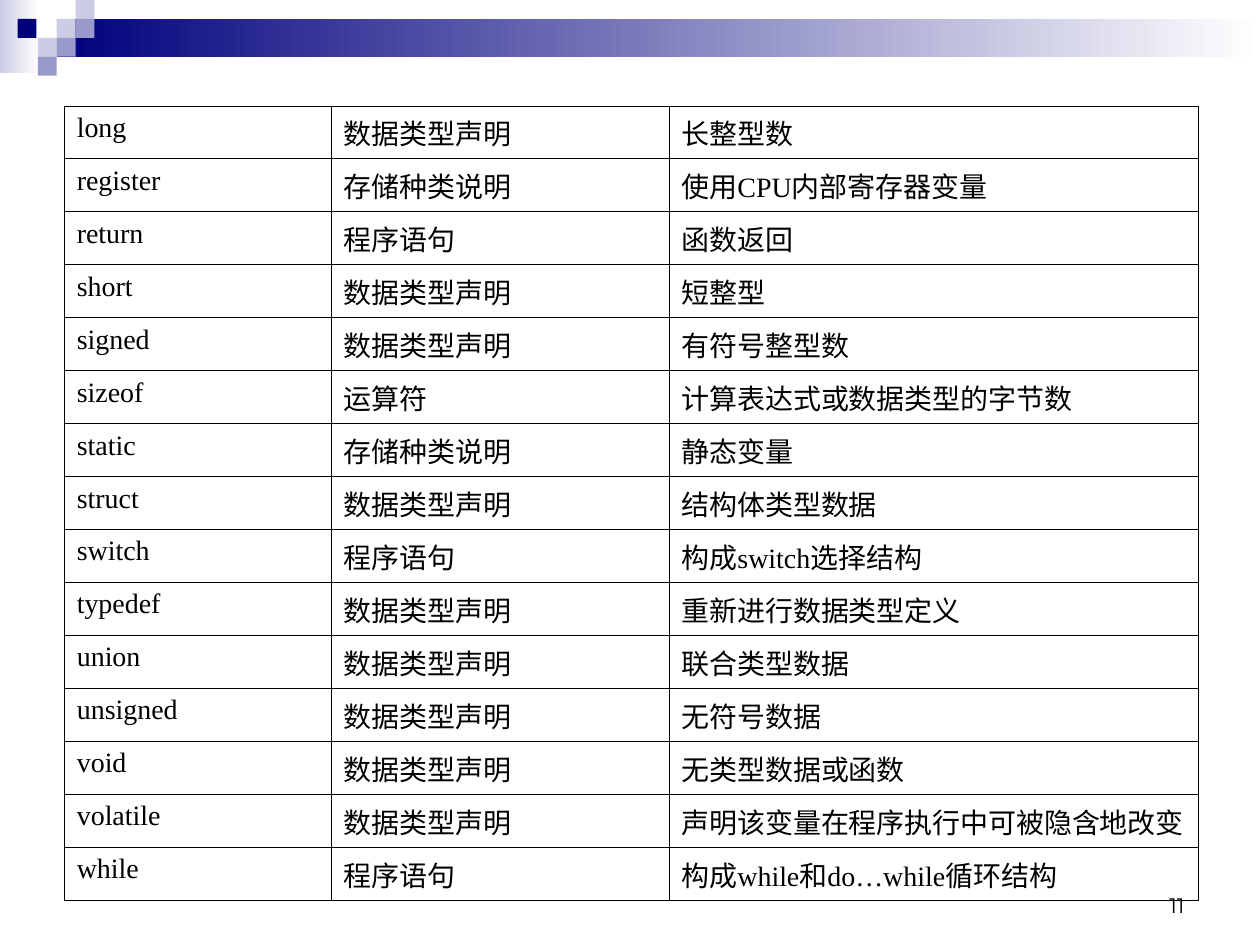
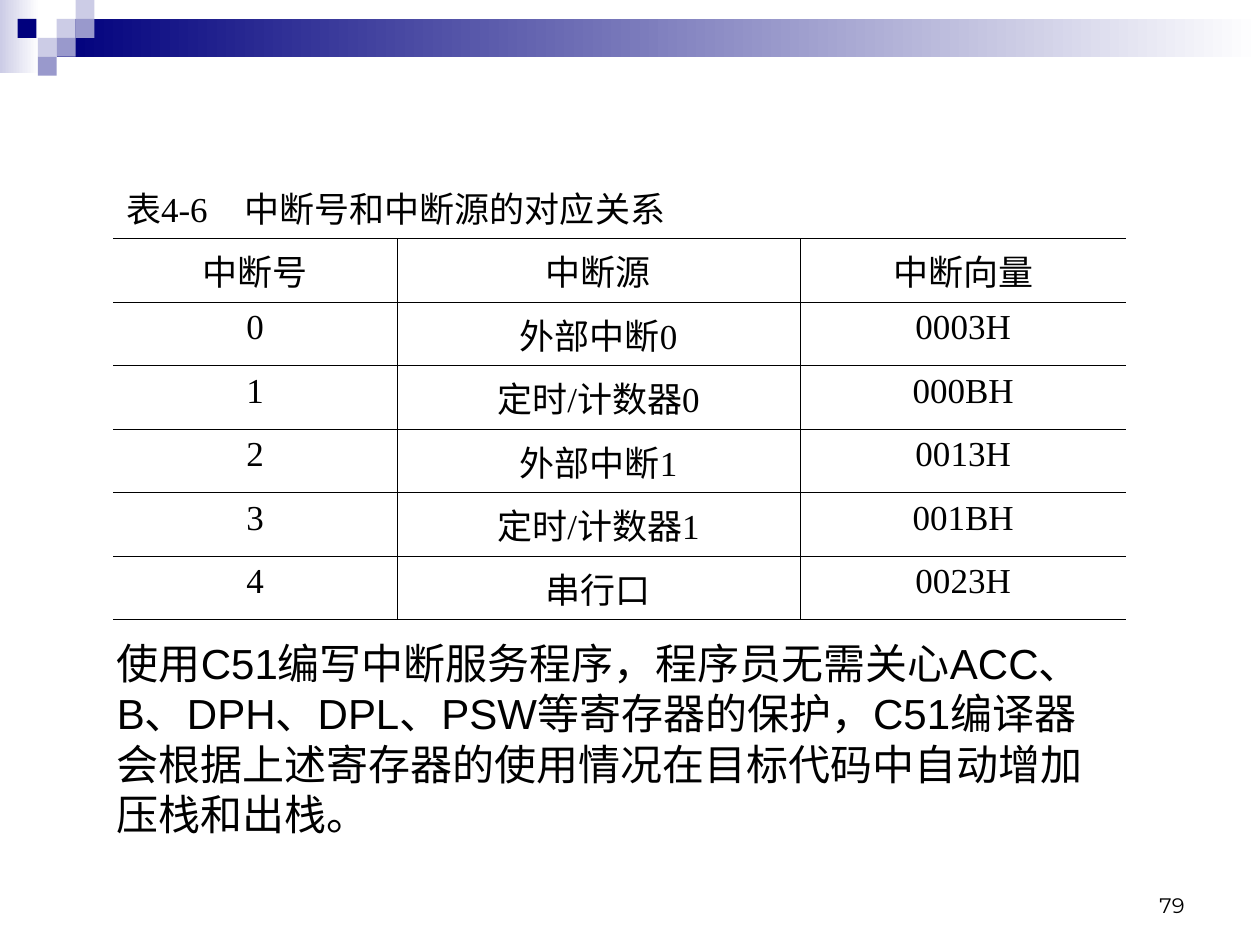
"""Builds two lecture slides on C51 keywords and interrupt numbers."""
from lxml.etree import SubElement
from pptx import Presentation
from pptx.dml.color import RGBColor
from pptx.enum.shapes import MSO_SHAPE
from pptx.enum.text import MSO_ANCHOR, PP_ALIGN
from pptx.oxml.ns import qn
from pptx.util import Inches, Pt

UNIT = 0.15
COLS, ROWS = 10 / UNIT, 7.5 / UNIT
BLACK, WHITE, NAVY, LILAC, PALE = "000000", "FFFFFF", "00007D", "9999CC", "CCCCE6"
SQUARES = [(3, 1, PALE), (4, 0, PALE), (4, 1, LILAC), (2, 2, PALE),
           (0.93, 1, NAVY), (3, 2, LILAC), (2, 3, LILAC)]

TYPE, STORAGE, STATEMENT = "数据类型声明", "存储种类说明", "程序语句"
KEYWORDS = [
    ("long", TYPE, "长整型数"),
    ("register", STORAGE, "使用CPU内部寄存器变量"),
    ("return", STATEMENT, "函数返回"),
    ("short", TYPE, "短整型"),
    ("signed", TYPE, "有符号整型数"),
    ("sizeof", "运算符", "计算表达式或数据类型的字节数"),
    ("static", STORAGE, "静态变量"),
    ("struct", TYPE, "结构体类型数据"),
    ("switch", STATEMENT, "构成switch选择结构"),
    ("typedef", TYPE, "重新进行数据类型定义"),
    ("union", TYPE, "联合类型数据"),
    ("unsigned", TYPE, "无符号数据"),
    ("void", TYPE, "无类型数据或函数"),
    ("volatile", TYPE, "声明该变量在程序执行中可被隐含地改变"),
    ("while", STATEMENT, "构成while和do…while循环结构"),
]
INTERRUPTS = [
    ("表4-6\t中断号和中断源的对应关系", "", ""),
    ("中断号", "中断源", "中断向量"),
    ("0", "外部中断0", "0003H"),
    ("1", "定时/计数器0", "000BH"),
    ("2", "外部中断1", "0013H"),
    ("3", "定时/计数器1", "001BH"),
    ("4", "串行口", "0023H"),
]
REGISTER_NOTE = ("使用C51编写中断服务程序，程序员无需关心ACC、B、DPH、DPL、PSW等寄存器的保护，"
                 "C51编译器会根据上述寄存器的使用情况在目标代码中自动增加压栈和出栈。")


def rgb(value):
    """Turn a hex string into a colour."""
    return RGBColor.from_string(value)


def grid(*lengths):
    """Turn grid columns or rows into slide lengths."""
    return [Inches(n * UNIT) for n in lengths]


class Deck:
    """Holds the style and the current slide."""

    def __init__(self):
        """Start an empty deck."""
        self.prs = Presentation()
        self.prs.slide_width, self.prs.slide_height = grid(COLS, ROWS)

    def slide(self, number):
        """Add a slide with the corner pattern and keep its page number."""
        self.s = self.prs.slides.add_slide(self.prs.slide_layouts[6])
        self.rect(0, 0, 2.07, 3.87, PALE, WHITE)
        self.rect(3, 1, COLS - 3, 2, NAVY, WHITE)
        for x, y, color in SQUARES:
            self.rect(x, y, 1, 1, color)
        self.number = number

    def rect(self, x, y, w, h, color, fade=None):
        """Draw a plain rectangle, fading to the right if asked."""
        sp = self.s.shapes.add_shape(MSO_SHAPE.RECTANGLE, *grid(x, y, w, h))
        sp.shadow.inherit = False
        sp.line.fill.background()
        if fade:
            sp.fill.gradient()
            sp.fill.gradient_angle = 0
            for stop, c in zip(sp.fill.gradient_stops, (color, fade)):
                stop.color.rgb = rgb(c)
        else:
            sp.fill.solid()
            sp.fill.fore_color.rgb = rgb(color)

    def paragraph(self, tf, text, size, font, align=PP_ALIGN.LEFT):
        """Fill the first paragraph in the given format."""
        p = tf.paragraphs[0]
        p.alignment = align
        r = p.add_run()
        r.text = text
        for name, value in {"size": Pt(size), "name": font}.items():
            setattr(r.font, name, value)
        r.font.color.rgb = rgb(BLACK)
        return p

    def text(self, x, y, w, h, text, size, font, align=PP_ALIGN.LEFT, anchor=MSO_ANCHOR.TOP):
        """Add a wrapped text box."""
        tf = self.s.shapes.add_textbox(*grid(x, y, w, h)).text_frame
        for name, value in {"word_wrap": True, "vertical_anchor": anchor}.items():
            setattr(tf, name, value)
        self.paragraph(tf, text, size, font, align)

    def page_number(self):
        """Put the page number at the lower right."""
        self.text(47.8, 45.53, 15.53, 3.33, str(self.number), 12, "Montserrat",
                  PP_ALIGN.RIGHT, MSO_ANCHOR.BOTTOM)

    def borders(self, cell, sides):
        """Rule the named sides of a cell and clear the others."""
        tcPr = cell._tc.get_or_add_tcPr()
        for side in "LRTB":
            ln = SubElement(tcPr, qn(f"a:ln{side}"), w=str(Pt(0.45)))
            if side in sides:
                fill = SubElement(ln, qn("a:solidFill"))
                SubElement(fill, qn("a:srgbClr"), val=BLACK)
            else:
                SubElement(ln, qn("a:noFill"))
        cell.fill.background()

    def table(self, x, y, widths, height, rows, size, titled=False):
        """Add a ruled table; a titled one has a caption row and open sides."""
        last = len(widths) - 1
        frame = self.s.shapes.add_table(len(rows), len(widths),
                                        *grid(x, y, sum(widths), height * len(rows)))
        tbl = frame.table
        tbl.first_row = tbl.horz_banding = False
        for col, width in zip(tbl.columns, grid(*widths)):
            col.width = width
        for i, values in enumerate(rows):
            tbl.rows[i].height = grid(height)[0]
            caption = titled and i == 0
            for j, value in enumerate(values):
                cell = tbl.cell(i, j)
                sides = "B" if caption else "LRTB"
                if titled and j == 0:
                    sides = sides.replace("L", "")
                if titled and j == last:
                    sides = sides.replace("R", "")
                self.borders(cell, sides)
                if value:
                    align = PP_ALIGN.CENTER if titled and not caption else PP_ALIGN.LEFT
                    p = self.paragraph(cell.text_frame, value, size, "Times New Roman", align)
                    if caption:
                        tabs = SubElement(p._p.get_or_add_pPr(), qn("a:tabLst"))
                        SubElement(tabs, qn("a:tab"), pos=str(Inches(0.94)), algn="l")
        if titled:
            tbl.cell(0, 0).merge(tbl.cell(0, last))


def main():
    """Build and save both slides."""
    deck = Deck()
    deck.slide(11)
    deck.table(3.4, 5.6, (14.13, 17.87, 28), 2.8, KEYWORDS, 16)
    deck.page_number()

    deck.slide(79)
    deck.table(6, 9.27, (15, 21.33, 17.27), 3.36, INTERRUPTS, 20, titled=True)
    deck.text(5.53, 33.4, 54.07, 11.33, REGISTER_NOTE, 24, "Arial")
    deck.page_number()
    deck.prs.save("out.pptx")


if __name__ == "__main__":
    main()
